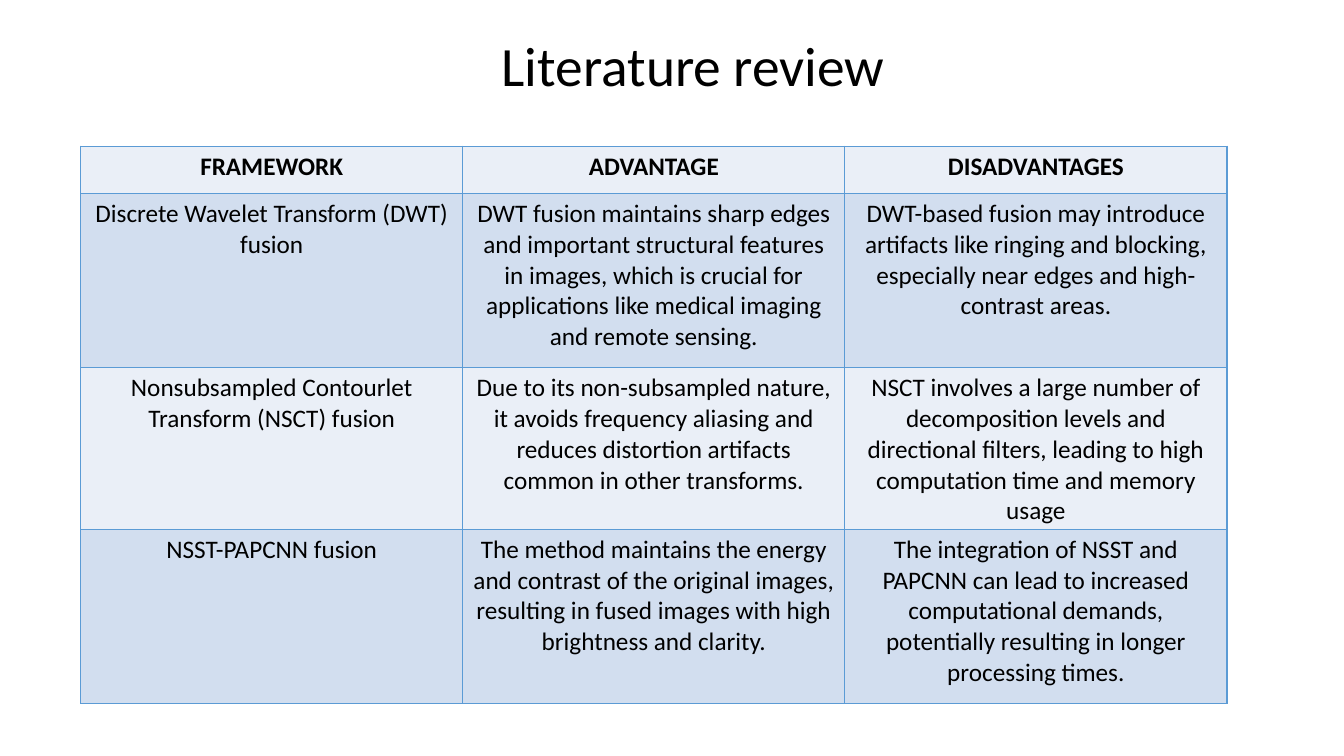
"""Build the literature review slide with its comparison table."""
from dataclasses import dataclass

from lxml import etree
from pptx import Presentation, util as u
from pptx.dml.color import RGBColor
from pptx.enum import text
from pptx.oxml import ns

PX = 9144
BLACK, EDGE = "000000", "5B9BD5"
BANDS = ("EAEFF7", "D2DEEF")
WIDE = 379


@dataclass
class Row:
    """One table row: its height in px and its three texts."""
    high: int
    cells: tuple[str, str, str]


ROWS = [
    Row(47, ("FRAMEWORK", "ADVANTAGE", "DISADVANTAGES")),
    Row(173, (
        "Discrete Wavelet Transform (DWT) fusion",
        "DWT fusion maintains sharp edges and important structural features in images, "
        "which is crucial for applications like medical imaging and remote sensing.",
        "DWT-based fusion may introduce artifacts like ringing and blocking, "
        "especially near edges and high-contrast areas.")),
    Row(145, (
        "Nonsubsampled Contourlet Transform (NSCT) fusion",
        "Due to its non-subsampled nature, it avoids frequency aliasing and reduces "
        "distortion artifacts common in other transforms.",
        "NSCT involves a large number of decomposition levels and directional filters, "
        "leading to high computation time and memory usage")),
    Row(173, (
        "NSST-PAPCNN fusion",
        "The method maintains the energy and contrast of the original images, "
        "resulting in fused images with high brightness and clarity.",
        "The integration of NSST and PAPCNN can lead to increased computational demands, "
        "potentially resulting in longer processing times.")),
]


def px(n: int) -> u.Emu:
    """Turn px into EMU."""
    return u.Emu(n * PX)


def tint(code: str) -> RGBColor:
    """Turn a hex string into a colour."""
    return RGBColor.from_string(code)


def write(frame, words: str, size: float, bold: bool = False, line: float = 1.0) -> None:
    """Put one centred paragraph into a text frame."""
    para = frame.paragraphs[0]
    para.alignment = text.PP_ALIGN.CENTER
    para.line_spacing = line
    run = para.add_run()
    run.text = words
    look = {"name": "Calibri", "size": u.Pt(size), "bold": bold}
    for key, val in look.items():
        setattr(run.font, key, val)
    run.font.color.rgb = tint(BLACK)


def edge(cell) -> None:
    """Draw all four borders of a cell, ahead of its fill."""
    props = cell._tc.get_or_add_tcPr()
    for spot, side in enumerate(("lnL", "lnR", "lnT", "lnB")):
        line = etree.Element(ns.qn(f"a:{side}"), w=str(u.Pt(1)))
        fill = etree.SubElement(line, ns.qn("a:solidFill"))
        etree.SubElement(fill, ns.qn("a:srgbClr"), val=EDGE)
        props.insert(spot, line)


def title(slide, words: str) -> None:
    """Add the slide title."""
    frame = slide.shapes.add_textbox(px(117), px(32), px(1141), px(72)).text_frame
    look = {"word_wrap": True, "vertical_anchor": text.MSO_ANCHOR.MIDDLE}
    for key, val in look.items():
        setattr(frame, key, val)
    write(frame, words, 39.6, line=0.9)


def grid(slide, rows: list[Row]) -> None:
    """Add the banded table with a bold first row."""
    cols = len(rows[0].cells)
    high = sum(row.high for row in rows)
    table = slide.shapes.add_table(
        len(rows), cols, px(80), px(145), px(WIDE * cols), px(high)).table
    for col in table.columns:
        col.width = px(WIDE)
    for r, row in enumerate(rows):
        table.rows[r].height = px(row.high)
        for c, words in enumerate(row.cells):
            cell = table.cell(r, c)
            cell.fill.solid()
            cell.fill.fore_color.rgb = tint(BANDS[r % 2])
            edge(cell)
            write(cell.text_frame, words, 18, bold=r == 0)


def main() -> None:
    """Build and save the deck."""
    deck = Presentation()
    deck.slide_width, deck.slide_height = px(1333), px(750)
    slide = deck.slides.add_slide(deck.slide_layouts[6])
    title(slide, "Literature review")
    grid(slide, ROWS)
    deck.save("out.pptx")


if __name__ == "__main__":
    main()
